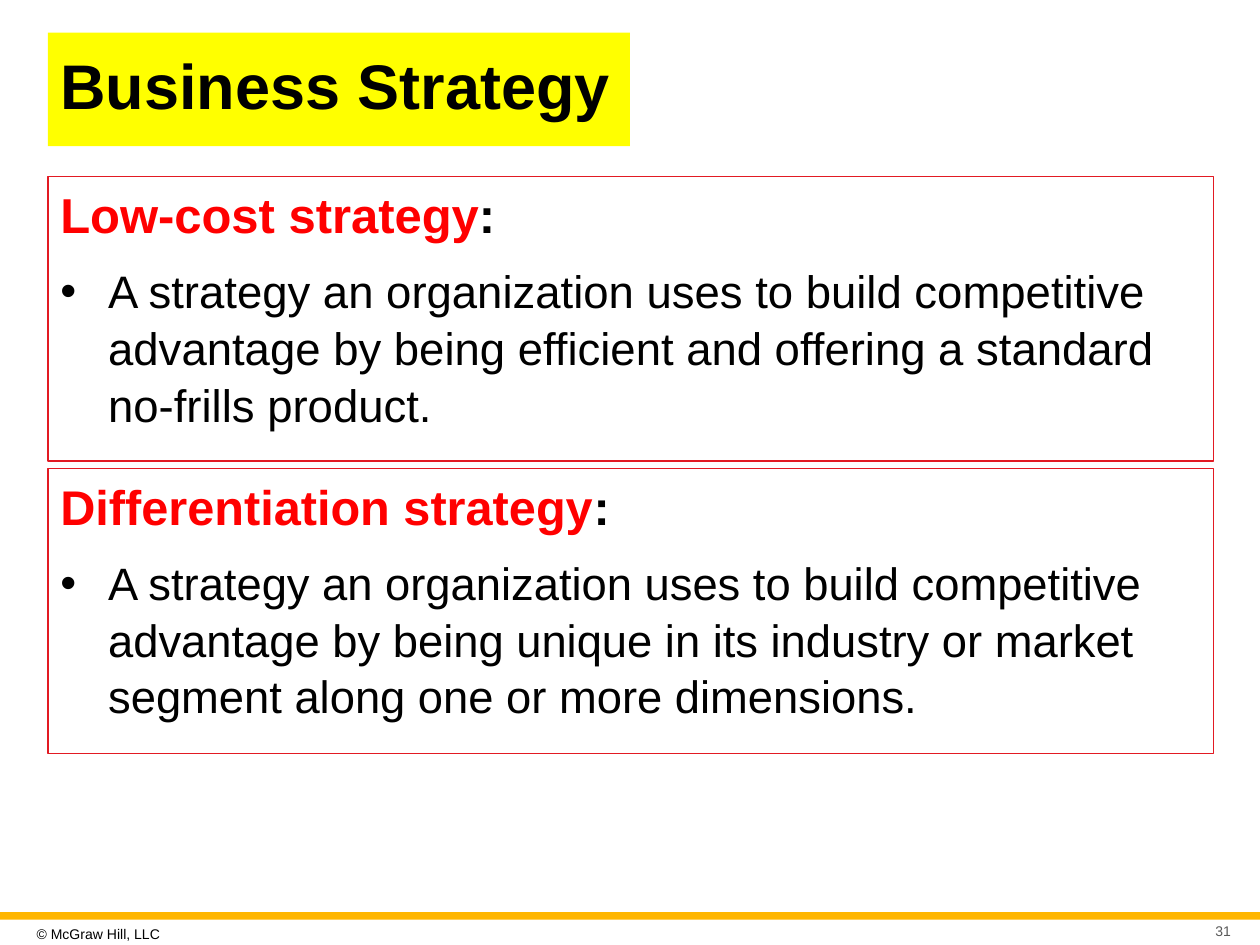
from dataclasses import dataclass

from lxml.etree import SubElement
from pptx import Presentation
from pptx.dml.color import RGBColor
from pptx.enum.shapes import MSO_SHAPE
from pptx.enum.text import MSO_ANCHOR, PP_ALIGN
from pptx.oxml.ns import qn
from pptx.util import Inches, Pt

COLORS = {
    "text": "000000",
    "term": "FF0000",
    "border": "E21A23",
    "highlight": "FFFF00",
    "band": "FFB600",
    "page": "595959",
}
FONT = "Arial"
LEFT = 0.38
PANEL_TOP, PANEL_WIDTH, PANEL_HEIGHT, PANEL_GAP = 1.4, 9.25, 2.26, 0.06
INDENT = 0.38


@dataclass
class Strategy:
    term: str
    definition: str
    term_size: float
    definition_size: float


@dataclass
class FooterText:
    text: str
    left: float
    top: float
    width: float
    height: float
    color: str
    align: PP_ALIGN


STRATEGIES = [
    Strategy(
        "Low-cost strategy",
        "A strategy an organization uses to build competitive advantage by "
        "being efficient and offering a standard no-frills product.",
        28, 26,
    ),
    Strategy(
        "Differentiation strategy",
        "A strategy an organization uses to build competitive advantage by "
        "being unique in its industry or market segment along one or more "
        "dimensions.",
        27.8, 25.9,
    ),
]
FOOTER = [
    FooterText("© McGraw Hill, LLC", 0.24, 7.29, 1.35, 0.24, "text", PP_ALIGN.LEFT),
    FooterText("31", 9.43, 7.3, 0.39, 0.18, "page", PP_ALIGN.RIGHT),
]


def rgb(name: str) -> RGBColor:
    return RGBColor.from_string(COLORS[name])


def style(font, size: float, color: str = "text", bold: bool = False) -> None:
    font.name = FONT
    font.size = Pt(size)
    font.bold = bold
    font.color.rgb = rgb(color)


def add_bullet(paragraph) -> None:
    properties = paragraph._p.get_or_add_pPr()
    properties.set("marL", str(Inches(INDENT)))
    properties.set("indent", str(-Inches(INDENT)))
    SubElement(properties, qn("a:buFont"), typeface=FONT)
    SubElement(properties, qn("a:buChar"), char="•")


def add_panel(slide, strategy: Strategy, top: float) -> None:
    panel = slide.shapes.add_textbox(
        Inches(LEFT), Inches(top), Inches(PANEL_WIDTH), Inches(PANEL_HEIGHT)
    )
    panel.line.color.rgb = rgb("border")
    panel.line.width = Pt(0.75)
    frame = panel.text_frame
    frame.word_wrap = True

    heading = frame.paragraphs[0]
    heading.line_spacing = 1.04
    for text, color in ((strategy.term, "term"), (":", "text")):
        run = heading.add_run()
        run.text = text
        style(run.font, strategy.term_size, color, bold=True)

    definition = frame.add_paragraph()
    definition.text = strategy.definition
    add_bullet(definition)
    definition.space_before = Pt(10)
    definition.line_spacing = 1.04
    style(definition.runs[0].font, strategy.definition_size)


def add_footer_text(slide, item: FooterText) -> None:
    box = slide.shapes.add_textbox(
        Inches(item.left), Inches(item.top), Inches(item.width), Inches(item.height)
    )
    frame = box.text_frame
    frame.word_wrap = True
    frame.vertical_anchor = MSO_ANCHOR.MIDDLE
    frame.margin_left = frame.margin_right = Inches(0.05)
    frame.margin_top = frame.margin_bottom = Inches(0.05)
    paragraph = frame.paragraphs[0]
    paragraph.text = item.text
    paragraph.alignment = item.align
    style(paragraph.runs[0].font, 8, item.color)


def add_title(slide, text: str) -> None:
    title = slide.shapes.title
    title.left, title.top = Inches(LEFT), Inches(0.26)
    title.width, title.height = Inches(4.62), Inches(0.9)
    title.fill.solid()
    title.fill.fore_color.rgb = rgb("highlight")
    frame = title.text_frame
    frame.text = text
    frame.word_wrap = True
    frame.vertical_anchor = MSO_ANCHOR.MIDDLE
    paragraph = frame.paragraphs[0]
    paragraph.alignment = PP_ALIGN.LEFT
    paragraph.line_spacing = 0.9
    style(paragraph.runs[0].font, 36, bold=True)


def main() -> None:
    presentation = Presentation()
    presentation.slide_width, presentation.slide_height = Inches(10), Inches(7.5)
    slide = presentation.slides.add_slide(presentation.slide_layouts[5])

    add_title(slide, "Business Strategy")

    # Strategy panels, stacked
    for index, strategy in enumerate(STRATEGIES):
        add_panel(slide, strategy, PANEL_TOP + index * (PANEL_HEIGHT + PANEL_GAP))

    # Footer band and texts
    band = slide.shapes.add_shape(
        MSO_SHAPE.RECTANGLE, 0, Inches(7.24), Inches(10), Inches(0.06)
    )
    band.shadow.inherit = False
    band.fill.solid()
    band.fill.fore_color.rgb = rgb("band")
    band.line.fill.background()
    for item in FOOTER:
        add_footer_text(slide, item)

    presentation.save("out.pptx")


if __name__ == "__main__":
    main()
